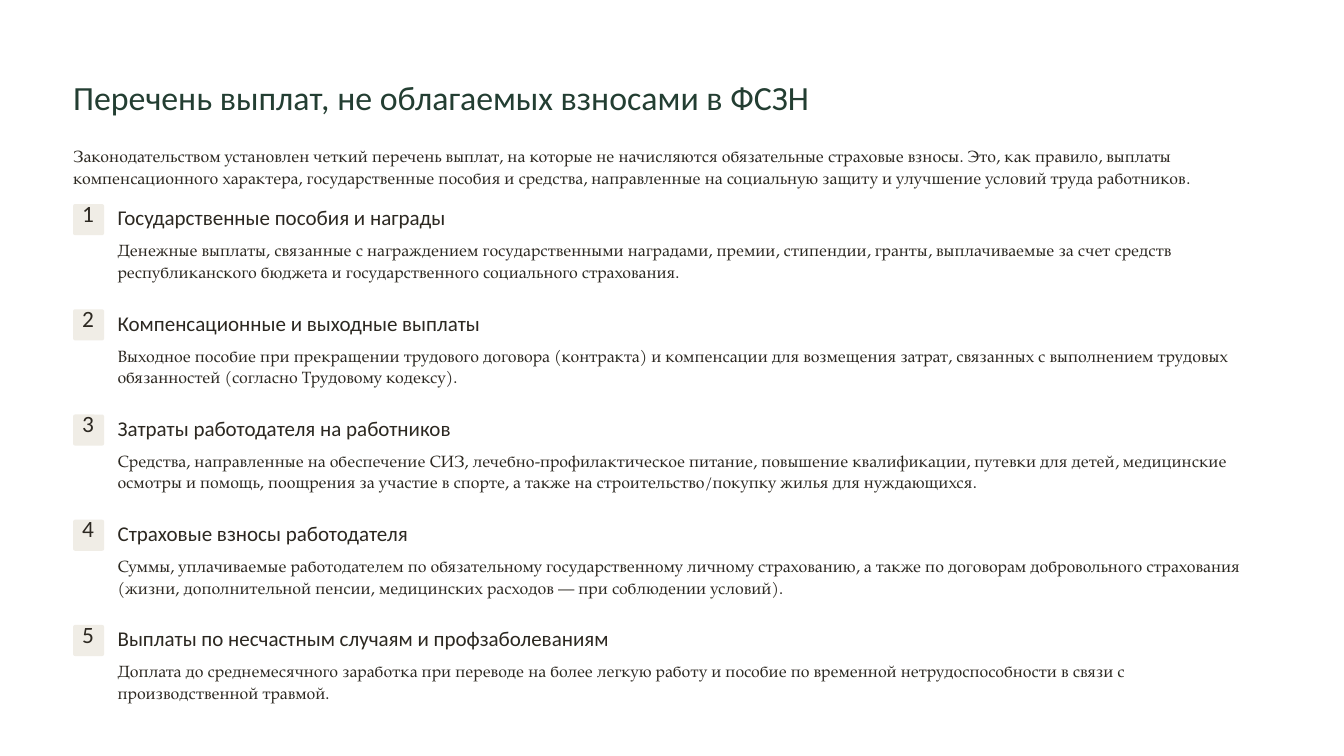
from dataclasses import dataclass

from pptx import Presentation
from pptx.dml.color import RGBColor as Color
from pptx.enum.shapes import MSO_SHAPE as Shape
from pptx.enum.text import PP_ALIGN as Align
from pptx.util import Emu, Inches, Pt


@dataclass(frozen=True)
class Theme:
    title_color: str = "233E32"
    text_color: str = "2C2821"
    badge_color: str = "F0EDE6"
    page_color: str = "FFFFFF"
    head_font: str = "Calibri"
    body_font: str = "TeX Gyre Pagella"
    # Each pair is type size and line spacing in points
    title: tuple = (29, 36.5)
    number: tuple = (20, 17.5)
    heading: tuple = (18, 18)
    body: tuple = (14, 18.5)


COLUMNS, ROWS = 16, 9
MARGIN, INDENT = 0.87, 1.4
RIGHT = 15.13
FIRST_ITEM, LAST_ITEM = 2.43, 7.44
BADGE = 0.37

TITLE = "Перечень выплат, не облагаемых взносами в ФСЗН"
INTRO = (
    "Законодательством установлен четкий перечень выплат, на которые не начисляются "
    "обязательные страховые взносы. Это, как правило, выплаты компенсационного характера, "
    "государственные пособия и средства, направленные на социальную защиту и улучшение "
    "условий труда работников."
)
# Heading, heading width in columns, paragraphs of the description
ITEMS = [
    ("Государственные пособия и награды", 3.95, [
        "Денежные выплаты, связанные с награждением государственными наградами, премии, "
        "стипендии, гранты, выплачиваемые за счет средств республиканского бюджета и "
        "государственного социального страхования."]),
    ("Компенсационные и выходные выплаты", 4.4, [
        "Выходное пособие при прекращении трудового договора (контракта) и компенсации "
        "для возмещения затрат, связанных с выполнением трудовых обязанностей (согласно "
        "Трудовому кодексу)."]),
    ("Затраты работодателя на работников", 4.05, [
        "Средства, направленные на обеспечение СИЗ, лечебно-профилактическое питание, "
        "повышение квалификации, путевки для детей, медицинские осмотры и помощь, поощрения "
        "за участие в спорте, а также на строительство/покупку жилья для нуждающихся."]),
    ("Страховые взносы работодателя", 3.55, [
        "Суммы, уплачиваемые работодателем по обязательному государственному личному "
        "страхованию, а также по договорам добровольного страхования (жизни, дополнительной "
        "пенсии, медицинских расходов — при соблюдении условий)."]),
    ("Выплаты по несчастным случаям и профзаболеваниям", 5.95, [
        "Доплата до среднемесячного заработка при переводе на более легкую работу и пособие "
        "по временной нетрудоспособности в связи с",
        "производственной травмой."]),
]


def write_text(frame, paragraphs, *, font, scale, color, align=Align.LEFT, wrap=True):
    size, spacing = scale
    frame.word_wrap = wrap
    frame.margin_left = frame.margin_right = frame.margin_top = frame.margin_bottom = 0
    for index, text in enumerate(paragraphs):
        para = frame.add_paragraph() if index else frame.paragraphs[0]
        para.alignment = align
        para.line_spacing = Pt(spacing)
        span = para.add_run()
        span.text = text
        span.font.name = font
        span.font.size = Pt(size)
        span.font.color.rgb = Color.from_string(color)


class Painter:
    def __init__(self, deck, theme):
        self.theme = theme
        self.column = deck.slide_width / COLUMNS
        self.row = deck.slide_height / ROWS
        self.page = deck.slides.add_slide(deck.slide_layouts[6])
        self.page.background.fill.solid()
        self.page.background.fill.fore_color.rgb = Color.from_string(theme.page_color)

    def place(self, left, top, width, height):
        return (Emu(round(left * self.column)), Emu(round(top * self.row)),
                Emu(round(width * self.column)), Emu(round(height * self.row)))

    def text(self, area, paragraphs, **style):
        box = self.page.shapes.add_textbox(*self.place(*area))
        write_text(box.text_frame, paragraphs, **style)

    def title(self, text):
        self.text((MARGIN, 0.89, 9.83, 0.51), [text], font=self.theme.head_font,
                  scale=self.theme.title, color=self.theme.title_color, wrap=False)

    def body(self, left, top, paragraphs):
        self.text((left, top, RIGHT - left, 0.52), paragraphs, font=self.theme.body_font,
                  scale=self.theme.body, color=self.theme.text_color)

    def badge(self, top, number):
        tile = self.page.shapes.add_shape(
            Shape.ROUNDED_RECTANGLE, *self.place(MARGIN, top, BADGE, BADGE))
        tile.adjustments[0] = 0.07
        tile.shadow.inherit = False
        tile.fill.solid()
        tile.fill.fore_color.rgb = Color.from_string(self.theme.badge_color)
        tile.line.fill.background()
        self.text((MARGIN + 0.06, top + 0.03, 0.24, 0.31), [str(number)],
                  font=self.theme.head_font, scale=self.theme.number,
                  color=self.theme.text_color, align=Align.CENTER, wrap=False)

    def heading(self, top, width, text):
        self.text((INDENT, top, width, 0.25), [text], font=self.theme.head_font,
                  scale=self.theme.heading, color=self.theme.text_color, wrap=False)

    def item(self, top, number, heading, width, paragraphs):
        self.badge(top, number)
        self.heading(top + 0.06, width, heading)
        self.body(INDENT, top + 0.41, paragraphs)


def main():
    deck = Presentation()
    deck.slide_width, deck.slide_height = Inches(COLUMNS), Inches(ROWS)
    painter = Painter(deck, Theme())

    # Title and introduction
    painter.title(TITLE)
    painter.body(MARGIN, 1.72, [INTRO])

    # Numbered list, evenly spaced
    pitch = (LAST_ITEM - FIRST_ITEM) / (len(ITEMS) - 1)
    for index, item in enumerate(ITEMS):
        painter.item(FIRST_ITEM + index * pitch, index + 1, *item)

    deck.save("out.pptx")


if __name__ == "__main__":
    main()
